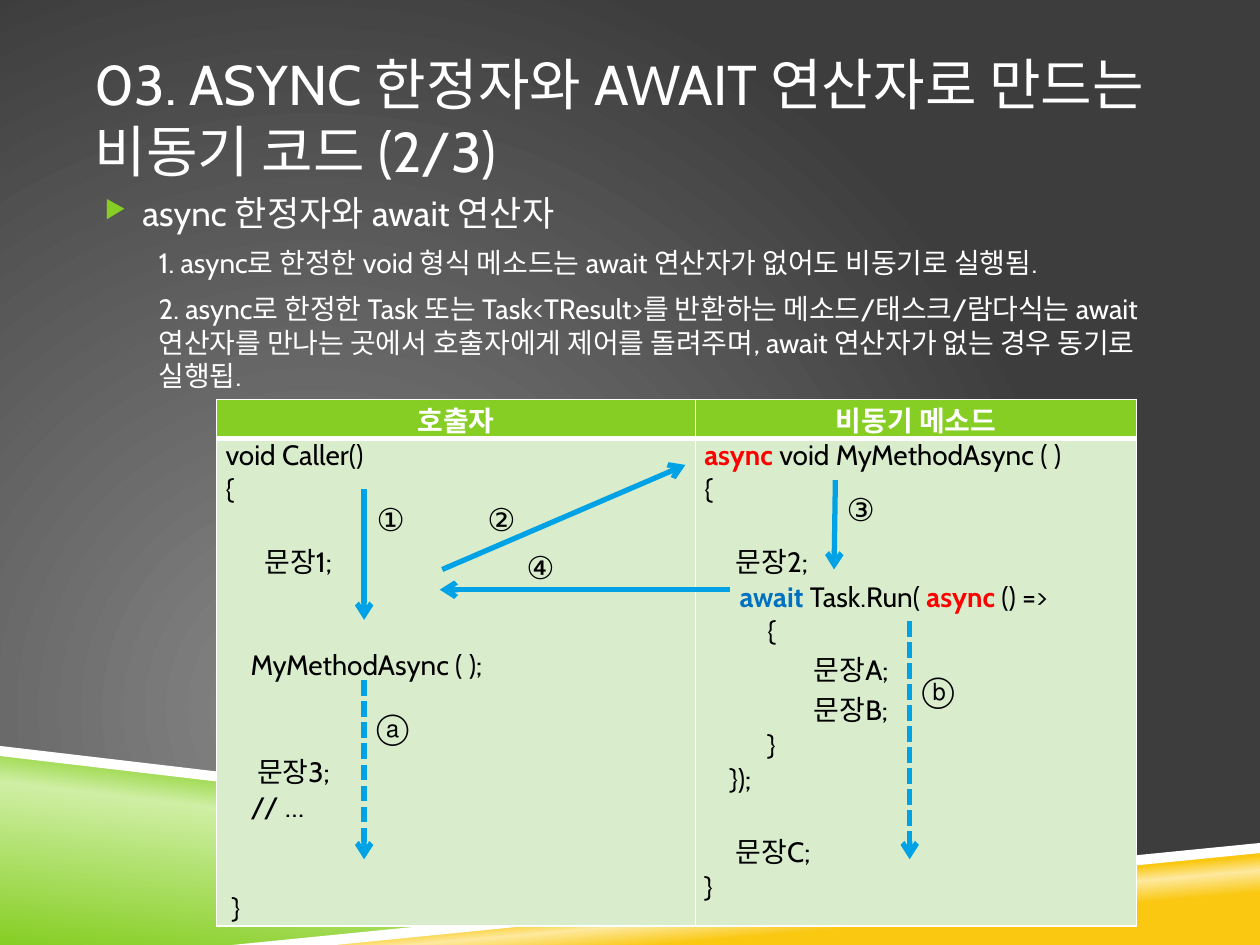
from lxml import etree
from pptx import Presentation
from pptx.dml.color import RGBColor
from pptx.enum.dml import MSO_LINE
from pptx.enum.shapes import MSO_CONNECTOR
from pptx.enum.text import MSO_ANCHOR, PP_ALIGN
from pptx.oxml.ns import qn
from pptx.util import Inches, Pt

STRAIGHT = MSO_CONNECTOR.STRAIGHT
DASH = MSO_LINE.SQUARE_DOT
MIDDLE, TOP = MSO_ANCHOR.MIDDLE, MSO_ANCHOR.TOP
LEFT, CENTER = PP_ALIGN.LEFT, PP_ALIGN.CENTER
FONT = "Cabin"
CODE_LINE = 19.4
COLORS = {
    "white": "FFFFFF", "black": "000000", "green": "86CE24",
    "pale_green": "CFEFA4", "yellow": "FAC810", "pale_yellow": "FDE99F",
    "gray": "878787", "dark": "3D3D3D", "cell": "D9EDCD",
    "red": "FF0000", "blue": "0070C0", "arrow": "00A2E6",
}

WEDGES = [
    ([(0, 5.97), (7.92, 6.92), (2, 7.5), (0, 7.5)],
     [(0, "green"), (52, "pale_green"), (66, "green")], 277),
    ([(1.98, 7.5), (10, 6.72), (10, 7.5)],
     [(28, "yellow"), (40, "pale_yellow"), (48, "yellow")], 265),
]
BANDS = [
    [(0, 5.92), (0, 6), (7.9, 6.93), (8.32, 6.9)],
    [(10, 6.69), (1.84, 7.5), (2.66, 7.5), (10, 6.77)],
]
NOTES = [
    "1. async로 한정한 void 형식 메소드는 await 연산자가 없어도 비동기로 실행됨.",
    "2. async로 한정한 Task 또는 Task<TResult>를 반환하는 메소드/태스크/람다식는 "
    "await 연산자를 만나는 곳에서 호출자에게 제어를 돌려주며, "
    "await 연산자가 없는 경우 동기로 실행됩.",
]
# Each code line: skipped lines above, indent, spans
CALLER = [
    (0, 0, [("void Caller()", "black")]),
    (0, 0, [("{", "black")]),
    (1, 0.31, [("문장1;", "black")]),
    (2, 0.2, [("MyMethodAsync ( );", "black")]),
    (2, 0.25, [("문장3;", "black")]),
    (0, 0.2, [("// …", "black")]),
    (2, 0.05, [("}", "black")]),
]
ASYNC_METHOD = [
    (0, 0, [("async ", "red"), ("void MyMethodAsync ( )", "black")]),
    (0, 0, [("{", "black")]),
    (1, 0.25, [("문장2;", "black")]),
    (0, 0.28, [("await ", "blue"), ("Task.Run( ", "black"),
               ("async", "red"), (" () =>", "black")]),
    (0, 0.5, [("{", "black")]),
    (0, 0.87, [("문장A;", "black")]),
    (0, 0.87, [("문장B;", "black")]),
    (0, 0.5, [("}", "black")]),
    (0, 0.2, [("});", "black")]),
    (1, 0.25, [("문장C;", "black")]),
    (0, 0, [("}", "black")]),
]
ARROWS = [
    ((2.89, 3.88), (2.89, 4.92), False),
    ((2.89, 5.4), (2.89, 6.82), True),
    ((3.51, 4.52), (5.44, 3.69), False),
    ((6.63, 3.81), (6.62, 4.52), False),
    ((5.79, 4.68), (3.49, 4.68), False),
    ((7.22, 4.93), (7.22, 6.82), True),
]
LABELS = [("①", 2.89, 3.92), ("②", 3.77, 3.92), ("③", 6.62, 3.84),
          ("④", 4.08, 4.3), ("ⓐ", 2.89, 5.55), ("ⓑ", 7.22, 5.26)]


def rgb(name):
    return RGBColor.from_string(COLORS[name])


def add_child(parent, tag, **attributes):
    return etree.SubElement(parent, qn(tag), {key: str(value) for key, value in attributes.items()})


def set_gradient(owner, fill, stops, angle=None):
    fill.gradient()
    gradient = owner.element.find(".//" + qn("a:gradFill"))
    for child in list(gradient):
        gradient.remove(child)
    stop_list = add_child(gradient, "a:gsLst")
    for position, name in stops:
        stop = add_child(stop_list, "a:gs", pos=position * 1000)
        add_child(stop, "a:srgbClr", val=COLORS[name])
    if angle is None:
        circle = add_child(gradient, "a:path", path="circle")
        add_child(circle, "a:fillToRect", l=50000, t=100000, r=100000, b=50000)
    else:
        add_child(gradient, "a:lin", ang=angle * 60000, scaled=0)


def add_outline(page, points):
    corners = [(Inches(x), Inches(y)) for x, y in points]
    builder = page.shapes.build_freeform(*corners[0])
    builder.add_line_segments(corners[1:], close=True)
    shape = builder.convert_to_shape()
    shape.shadow.inherit = False
    shape.line.fill.background()
    return shape


def add_span(para, text, size, color, bold=False):
    span = para.add_run()
    span.text = text
    span.font.name = FONT
    span.font.size = Pt(size)
    span.font.bold = bold
    span.font.color.rgb = rgb(color)
    return span


def add_prose(para, text, size):
    span = add_span(para, text, size, "white")
    add_child(span._r.get_or_add_rPr(), "a:ea", typeface=FONT)


def add_box(page, left, top, width, height, side=0.1, anchor=TOP):
    box = page.shapes.add_textbox(Inches(left), Inches(top), Inches(width), Inches(height))
    frame = box.text_frame
    frame.word_wrap = True
    frame.vertical_anchor = anchor
    frame.margin_left = frame.margin_right = Inches(side)
    return frame


def set_indent(para, margin, first=0):
    properties = para._p.get_or_add_pPr()
    properties.set("marL", str(Inches(margin)))
    properties.set("indent", str(Inches(first)))
    return properties


def add_body(page):
    frame = add_box(page, 0.75, 1.47, 8.5, 4.44, side=0)
    for index, text in enumerate(["async 한정자와 await 연산자"] + NOTES):
        para = frame.add_paragraph() if index else frame.paragraphs[0]
        para.space_before = Pt(7)
        if index:
            set_indent(para, 0.51)
        else:
            properties = set_indent(para, 0.38, -0.3)
            add_child(add_child(properties, "a:buClr"), "a:srgbClr", val=COLORS["green"])
            add_child(properties, "a:buSzPct", val=70000)
            add_child(properties, "a:buChar", char="▶")
        add_prose(para, text, 16 if index else 20)


def style_cell(cell, color, top, bottom):
    cell.margin_left = cell.margin_right = Inches(0.07)
    cell.margin_top = cell.margin_bottom = 0
    properties = cell._tc.get_or_add_tcPr()
    for tag, width in (("a:lnL", 1), ("a:lnR", 1), ("a:lnT", top), ("a:lnB", bottom)):
        border = add_child(properties, tag, w=Pt(width))
        add_child(add_child(border, "a:solidFill"), "a:srgbClr", val=COLORS["white"])
    cell.fill.solid()
    cell.fill.fore_color.rgb = rgb(color)


def add_code_table(page):
    table = page.shapes.add_table(
        2, 2, Inches(1.72), Inches(3.17), Inches(7.3), Inches(4.18)).table
    table.rows[0].height, table.rows[1].height = Inches(0.31), Inches(3.87)
    columns = [("호출자", 3.8, CALLER), ("비동기 메소드", 3.5, ASYNC_METHOD)]
    for column, (heading, width, code) in enumerate(columns):
        table.columns[column].width = Inches(width)
        header, body = table.cell(0, column), table.cell(1, column)
        style_cell(header, "green", 1, 3)
        style_cell(body, "cell", 3, 1)
        para = header.text_frame.paragraphs[0]
        para.alignment = CENTER
        add_span(para, heading, 16, "white", True)
        for index, (skipped, indent, spans) in enumerate(code):
            frame = body.text_frame
            para = frame.add_paragraph() if index else frame.paragraphs[0]
            para.alignment = LEFT
            para.space_before = Pt(skipped * CODE_LINE)
            set_indent(para, indent)
            for text, color in spans:
                add_span(para, text, 16, color, color != "black")


def add_arrow(page, start, end, dashed):
    arrow = page.shapes.add_connector(STRAIGHT, *map(Inches, start + end))
    arrow.line.color.rgb = rgb("arrow")
    arrow.line.width = Pt(3)
    if dashed:
        arrow.line.dash_style = DASH
    add_child(arrow.line._get_or_add_ln(), "a:tailEnd", type="arrow")
    add_child(arrow.element.spPr, "a:effectLst")


def main():
    deck = Presentation()
    deck.slide_width, deck.slide_height = Inches(10), Inches(7.5)
    page = deck.slides.add_slide(deck.slide_layouts[6])
    set_gradient(page, page.background.fill, [(0, "gray"), (100, "dark")])
    for points, stops, angle in WEDGES:
        wedge = add_outline(page, points)
        set_gradient(wedge, wedge.fill, stops, angle)
    for points in BANDS:
        band = add_outline(page, points)
        band.fill.solid()
        band.fill.fore_color.rgb = rgb("white")
    title = add_box(page, 0.75, 0.3, 8.5, 1.25, side=0, anchor=MIDDLE).paragraphs[0]
    add_prose(title, "03. ASYNC 한정자와 AWAIT 연산자로 만드는 비동기 코드 (2/3)", 32)
    add_body(page)
    add_code_table(page)
    for start, end, dashed in ARROWS:
        add_arrow(page, start, end, dashed)
    for text, left, top in LABELS:
        add_span(add_box(page, left, top, 0.38, 0.38).paragraphs[0], text, 18, "black")
    deck.save("out.pptx")


if __name__ == "__main__":
    main()
